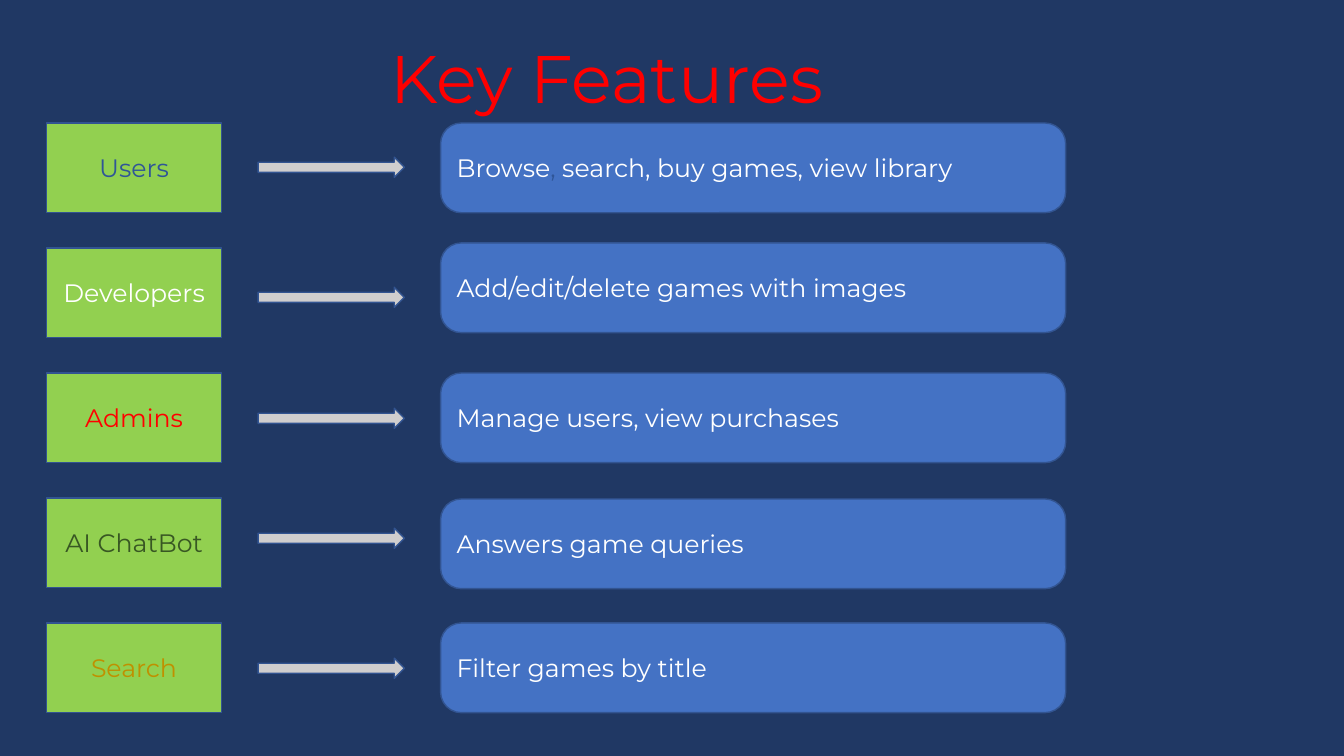
"""Build the Key Features slide: five roles, each with an arrow to what it offers."""
import pptx
import pptx.dml.color
import pptx.enum.shapes
import pptx.enum.text
import pptx.util

Inches = pptx.util.Inches
SHAPE = pptx.enum.shapes.MSO_SHAPE
ALIGN = pptx.enum.text.PP_ALIGN
ANCHOR = pptx.enum.text.MSO_ANCHOR

TITLE = "Key Features"
FONT = "Montserrat"
COLORS = {
    "navy": "203864", "red": "FF0000", "green": "92D050", "blue": "4472C4",
    "outline": "325491", "gray": "D0CECE", "white": "FFFFFF",
    "dark blue": "2F5597", "dark green": "385723", "gold": "BF9000",
}
FEATURES = [
    ("Users", "dark blue", [("Browse", "white"), (",", "dark blue"),
                            (" search, buy games, view library", "white")]),
    ("Developers", "white", [("Add/edit/delete games with images", "white")]),
    ("Admins", "red", [("Manage users, view purchases", "white")]),
    ("AI ChatBot", "dark green", [("Answers game queries", "white")]),
    ("Search", "gold", [("Filter games by title", "white")]),
]
ROW_TOP, ROW_STEP, ROW_HEIGHT = 1.22, 1.24, 0.89
ARROW_TOPS = [1.56, 2.85, 4.05, 5.24, 6.53]
DETAIL_TOPS = [1.22, 2.41, 3.7, 4.95, 6.18]


def rgb(name):
    """Return the named colour."""
    return pptx.dml.color.RGBColor.from_string(COLORS[name])


def add_box(slide, kind, box, fill, runs=(), align=ALIGN.LEFT):
    """Add an outlined shape holding one paragraph of coloured runs."""
    sp = slide.shapes.add_shape(kind, *map(Inches, box))
    sp.shadow.inherit = False
    sp.fill.solid()
    sp.fill.fore_color.rgb = rgb(fill)
    sp.line.color.rgb = rgb("outline")
    sp.line.width = pptx.util.Pt(1)
    if runs:
        tf = sp.text_frame
        tf.word_wrap = True
        tf.vertical_anchor = ANCHOR.MIDDLE
        p = tf.paragraphs[0]
        p.alignment = align
        p.font.name = FONT
        p.font.size = pptx.util.Pt(18)
        for text, color in runs:
            r = p.add_run()
            r.text = text
            r.font.name = FONT
            r.font.size = pptx.util.Pt(18)
            r.font.color.rgb = rgb(color)
    return sp


def add_title(slide):
    """Place and format the slide title."""
    sp = slide.shapes.title
    sp.left, sp.top, sp.width, sp.height = map(Inches, (3.77, 0.31, 5.89, 0.91))
    tf = sp.text_frame
    tf.text = TITLE
    tf.auto_size = pptx.enum.text.MSO_AUTO_SIZE.NONE
    tf.vertical_anchor = ANCHOR.TOP
    p = tf.paragraphs[0]
    p.alignment = ALIGN.LEFT
    p.font.name = FONT
    p.font.size = pptx.util.Pt(48)
    p.font.color.rgb = rgb("red")


def main():
    """Create the presentation and save it."""
    prs = pptx.Presentation()
    prs.slide_width, prs.slide_height = Inches(13.33), Inches(7.5)
    slide = prs.slides.add_slide(prs.slide_layouts[5])
    slide.background.fill.solid()
    slide.background.fill.fore_color.rgb = rgb("navy")
    add_title(slide)
    rows = zip(FEATURES, ARROW_TOPS, DETAIL_TOPS)
    for i, ((role, color, detail), arrow_top, detail_top) in enumerate(rows):
        role_top = ROW_TOP + i * ROW_STEP
        add_box(slide, SHAPE.RECTANGLE, (0.46, role_top, 1.74, ROW_HEIGHT),
                "green", [(role, color)], ALIGN.CENTER)
        add_box(slide, SHAPE.RIGHT_ARROW, (2.56, arrow_top, 1.45, 0.2), "gray")
        sp = add_box(slide, SHAPE.ROUNDED_RECTANGLE,
                     (4.37, detail_top, 6.2, ROW_HEIGHT), "blue", detail)
        sp.adjustments[0] = 0.23
    prs.save("out.pptx")


if __name__ == "__main__":
    main()
